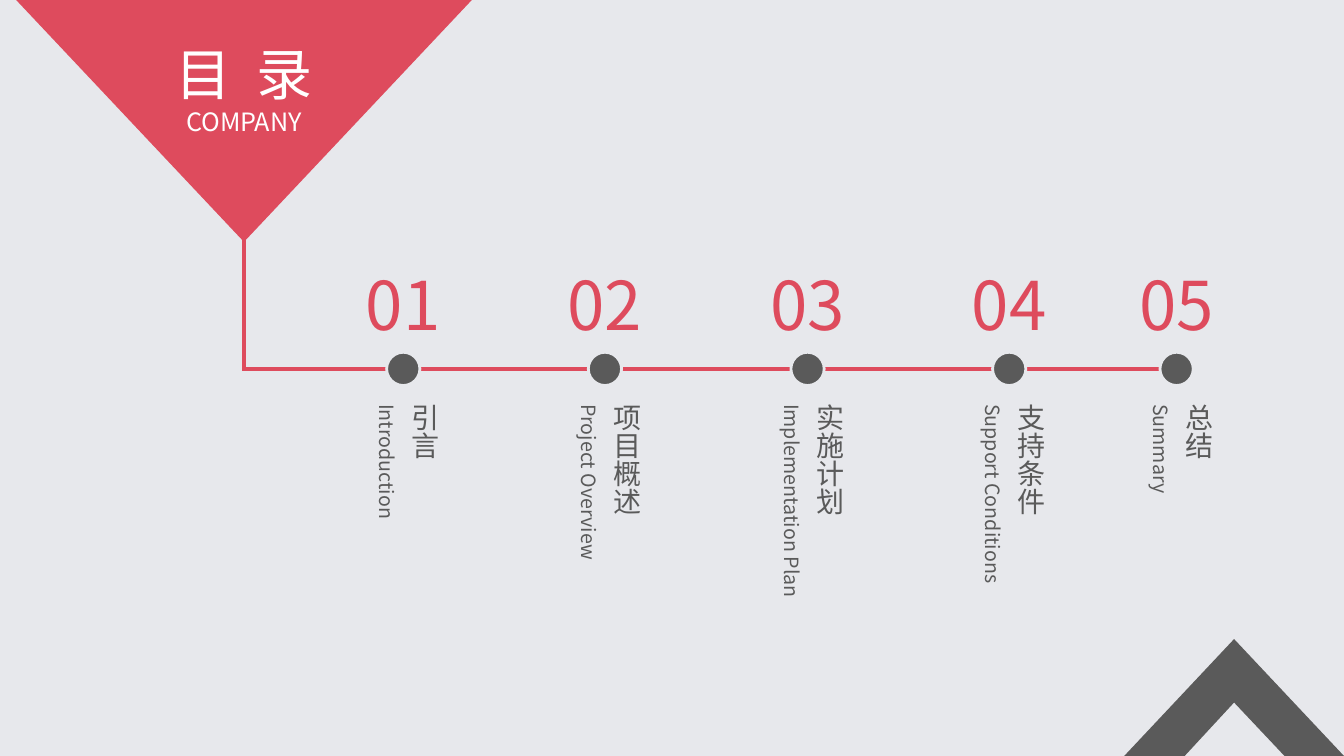
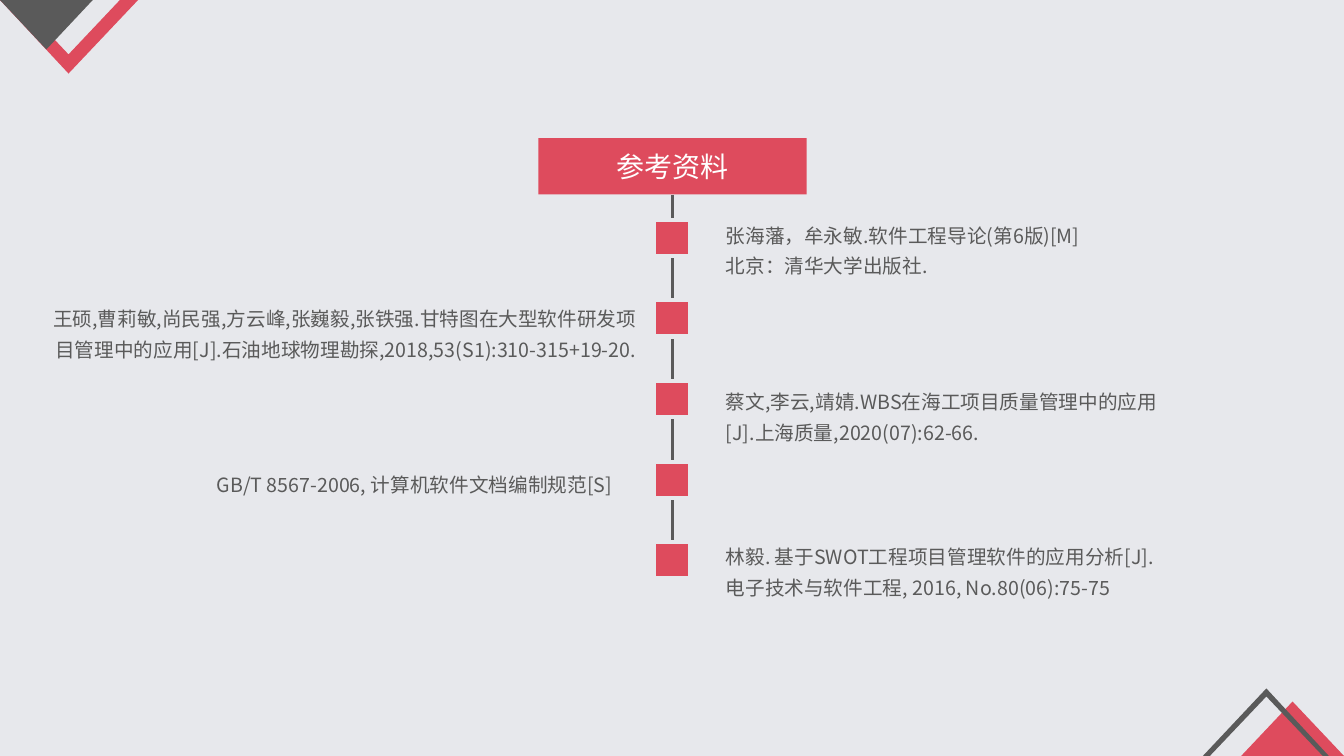
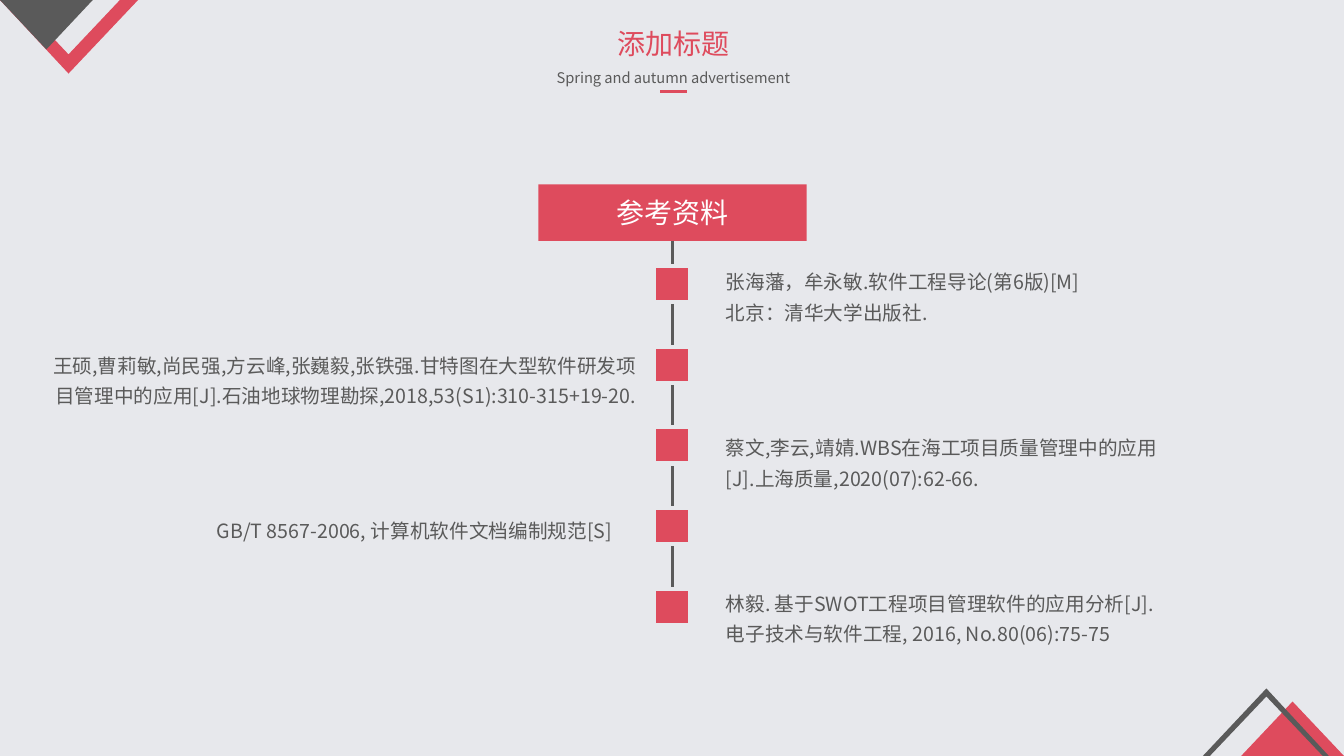
import dataclasses

import lxml.etree
import pptx
import pptx.dml.color
import pptx.enum.shapes
import pptx.enum.text
import pptx.oxml.ns
import pptx.shapes.autoshape
import pptx.shapes.base
import pptx.shapes.connector
import pptx.slide
import pptx.util

Inches = pptx.util.Inches
Align = pptx.enum.text.PP_ALIGN
Kind = pptx.enum.shapes.MSO_SHAPE
Box = tuple[float, float, float, float]
Point = tuple[float, float]

# Shared style
FONT = "Noto Sans CJK SC"
RED, GRAY, PALE, WHITE = "DE4B5D", "5A5A5A", "E7E8EC", "FFFFFF"
AXIS = 3.66  # height of the agenda line
MID = 6.67  # centre of the reference line
SIDE = 0.36  # size of a reference marker


@dataclasses.dataclass
class Style:
    size: float
    color: str = GRAY
    align: Align = Align.LEFT
    lead: float | None = None
    track: int = 0  # letter spacing in hundredths of a point


@dataclasses.dataclass
class Step:
    center: float
    name: str
    gloss: str


@dataclasses.dataclass
class Source:
    text: str
    left: float
    drop: float  # distance below the top of the band
    width: float
    height: float = 0.68
    align: Align = Align.LEFT


HEAD = Style(20, RED, Align.CENTER)
BAND = Style(20, WHITE, Align.CENTER)

STEPS = [
    Step(4, "引言", "Introduction"),
    Step(6, "项目概述", "Project Overview"),
    Step(8.01, "实施计划", "Implementation Plan"),
    Step(10.01, "支持条件", "Support Conditions"),
    Step(11.67, "总结", "Summary"),
]

SOURCES = [
    Source("张海藩，牟永敏.软件工程导论(第6版)[M]北京：清华大学出版社.", 7.1, 0.73, 3.84),
    Source("王硕,曹莉敏,尚民强,方云峰,张巍毅,张铁强.甘特图在大型软件研发项目管理中的应用[J]."
           "石油地球物理勘探,2018,53(S1):310-315+19-20.",
           0.39, 1.56, 6.02, align=Align.RIGHT),
    Source("蔡文,李云,靖婧.WBS在海工项目质量管理中的应用[J].上海质量,2020(07):62-66.",
           7.1, 2.38, 4.56),
    Source("GB/T 8567-2006, 计算机软件文档编制规范[S]", 2.05, 3.2, 4.32, 0.38),
    Source("林毅. 基于SWOT工程项目管理软件的应用分析[J]. 电子技术与软件工程, 2016, "
           "No.80(06):75-75", 7.1, 3.92, 4.56),
]

# Corner outlines, drawn from back to front
CORNERS: list[tuple[str, list[Point]]] = [
    (RED, [(0.68, 0.73), (1.37, 0), (1.19, 0), (0.68, 0.54), (0.17, 0), (0, 0)]),
    (GRAY, [(0.46, 0.49), (0.92, 0), (0, 0)]),
    (RED, [(12.82, 6.96), (12.31, 7.5), (13.33, 7.5)]),
    (GRAY, [(13.18, 7.5), (13.12, 7.5), (12.56, 6.91), (12, 7.5), (11.93, 7.5),
            (12.56, 6.83)]),
]


def rgb(color: str) -> pptx.dml.color.RGBColor:
    return pptx.dml.color.RGBColor.from_string(color)


def place(shape: pptx.shapes.base.BaseShape, box: Box) -> None:
    shape.left, shape.top, shape.width, shape.height = map(Inches, box)


def paint(shape: pptx.shapes.autoshape.Shape, color: str, rim: float = 0) -> None:
    """Fill a shape; rim is the width of a border in the page colour."""
    shape.shadow.inherit = False
    shape.fill.solid()
    shape.fill.fore_color.rgb = rgb(color)
    if rim:
        shape.line.color.rgb = rgb(PALE)
        shape.line.width = pptx.util.Pt(rim)
    else:
        shape.line.fill.background()


def write(shape: pptx.shapes.autoshape.Shape, *lines: tuple[str, Style]) -> None:
    frame = shape.text_frame
    frame.text = "\n".join(text for text, _ in lines)
    for para, (_, style) in zip(frame.paragraphs, lines):
        para.alignment = style.align
        if style.lead:
            para.line_spacing = style.lead
        font = para.font
        font.name = FONT
        font.size = pptx.util.Pt(style.size)
        font.color.rgb = rgb(style.color)
        # East Asian face and letter spacing
        lxml.etree.SubElement(font._rPr, pptx.oxml.ns.qn("a:ea"), typeface=FONT)
        if style.track:
            font._rPr.set("spc", str(style.track))


def fit(shape: pptx.shapes.autoshape.Shape, wrap: bool = True) -> None:
    frame = shape.text_frame
    frame.word_wrap = wrap
    frame.auto_size = pptx.enum.text.MSO_AUTO_SIZE.SHAPE_TO_FIT_TEXT
    frame.vertical_anchor = pptx.enum.text.MSO_ANCHOR.TOP


def label(slide: pptx.slide.Slide, text: str, box: Box, style: Style,
          upright: bool = False) -> None:
    shape = slide.shapes.add_textbox(*map(Inches, box))
    write(shape, (text, style))
    fit(shape)
    if upright:
        shape.text_frame._txBody.bodyPr.set("vert", "eaVert")


def title(slide: pptx.slide.Slide, box: Box, *lines: tuple[str, Style]) -> None:
    """Fill the title placeholder and bring it to the front."""
    shape = slide.shapes.title
    place(shape, box)
    write(shape, *lines)
    fit(shape, wrap=False)
    shape.element.getparent().append(shape.element)


def line(slide: pptx.slide.Slide, start: Point, end: Point, color: str,
         width: float) -> pptx.shapes.connector.Connector:
    link = slide.shapes.add_connector(
        pptx.enum.shapes.MSO_CONNECTOR.STRAIGHT, *map(Inches, start + end))
    link.line.color.rgb = rgb(color)
    link.line.width = pptx.util.Pt(width)
    lxml.etree.SubElement(link.element.spPr, pptx.oxml.ns.qn("a:effectLst"))
    return link


def outline(slide: pptx.slide.Slide, color: str, points: list[Point]) -> None:
    first, *rest = [(Inches(x), Inches(y)) for x, y in points]
    pen = slide.shapes.build_freeform(*first)
    pen.add_line_segments(rest, close=True)
    paint(pen.convert_to_shape(), color)


def corners(slide: pptx.slide.Slide) -> None:
    for color, points in CORNERS:
        outline(slide, color, points)


def agenda(slide: pptx.slide.Slide) -> None:
    line(slide, (2.42, 2.38), (2.42, 3.68), RED, 2.5)
    line(slide, (2.42, AXIS), (11.59, AXIS), RED, 2.5)
    outline(slide, RED, [(2.42, 2.4), (4.68, 0), (0.16, 0)])
    outline(slide, GRAY, [(12.24, 6.34), (13.33, 7.5), (12.74, 7.5), (12.24, 6.97),
                          (11.75, 7.5), (11.15, 7.5)])
    title(slide, (1.59, 0.34, 1.66, 1.07),
          ("目 录", Style(40, WHITE, Align.CENTER, track=450)),
          ("COMPANY", Style(18, WHITE, Align.CENTER)))

    # Numbered stops with upright captions
    dot = 0.33
    for count, step in enumerate(STEPS, 1):
        x = step.center
        stop = slide.shapes.add_shape(
            Kind.OVAL, *map(Inches, (x - dot / 2, AXIS - dot / 2, dot, dot)))
        paint(stop, GRAY, 2)
        label(slide, step.gloss, (x - 0.43, 3.91, 0.44, 2.15), Style(14), upright=True)
        label(slide, step.name, (x - 0.11, 3.91, 0.54, 2.15), Style(20), upright=True)
        label(slide, f"{count:02}", (x - 0.62, 2.56, 1.24, 0.91),
              Style(48, RED, Align.CENTER))


def sources(slide: pptx.slide.Slide, band: pptx.shapes.autoshape.Shape,
            top: float) -> None:
    """Turn the given shape into the band and hang the references below it."""
    place(band, (5.34, top, 2.66, 0.56))
    paint(band, RED)
    write(band, ("参考资料", BAND))
    band.text_frame.vertical_anchor = pptx.enum.text.MSO_ANCHOR.MIDDLE

    # The stem lies behind the markers and ends at the last one
    stem = line(slide, (MID, top + 0.56), (MID, top + 4), GRAY, 2)
    stem.begin_connect(band, 2)
    for row, source in enumerate(SOURCES, 1):
        mark = slide.shapes.add_shape(
            Kind.RECTANGLE,
            *map(Inches, (MID - SIDE / 2, top + 0.8 * row + 0.01, SIDE, SIDE)))
        paint(mark, RED, 3)
        label(slide, source.text,
              (source.left, top + source.drop, source.width, source.height),
              Style(14, align=source.align, lead=1.3))
    stem.end_connect(mark, 0)


def main() -> None:
    deck = pptx.Presentation()
    deck.slide_width, deck.slide_height = Inches(13.33), Inches(7.5)
    back = deck.slide_master.background.fill
    back.solid()
    back.fore_color.rgb = rgb(PALE)
    first, second, third = [
        deck.slides.add_slide(deck.slide_layouts[5]) for _ in range(3)]

    # Agenda
    agenda(first)

    # References, with the band as title
    corners(second)
    sources(second, second.shapes.title, 1.37)

    # References under a separate heading
    corners(third)
    title(third, (6.02, 0.21, 1.32, 0.44), ("添加标题", HEAD))
    label(third, "Spring and autumn advertisement", (4.93, 0.58, 3.5, 0.31),
          Style(10.5, align=Align.CENTER, lead=1.3))
    line(third, (6.55, 0.91), (6.81, 0.91), RED, 1.75)
    band = third.shapes.add_shape(Kind.RECTANGLE, 0, 0, 0, 0)
    sources(third, band, 1.83)

    deck.save("out.pptx")


if __name__ == "__main__":
    main()
